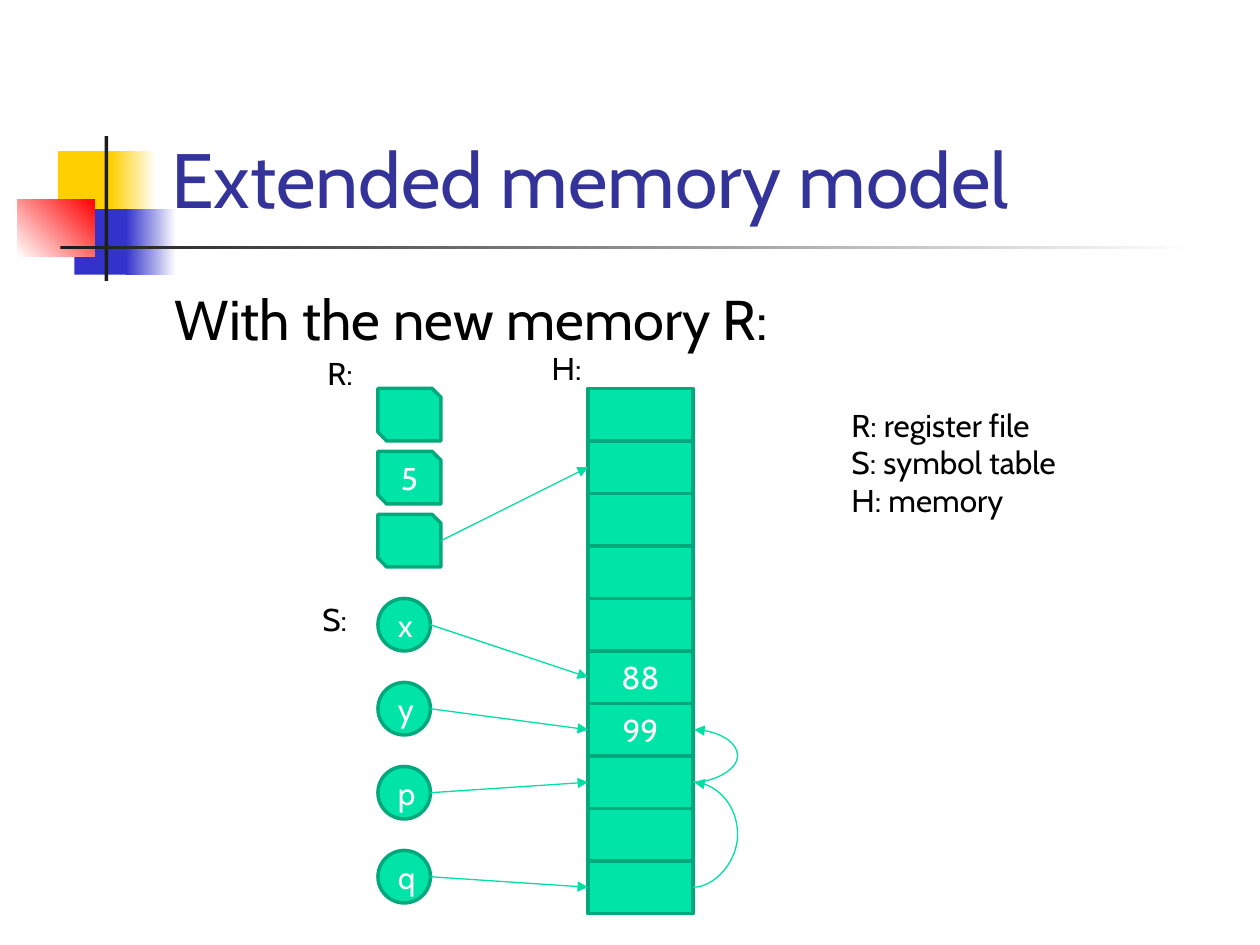
from dataclasses import dataclass

from lxml.etree import SubElement
from pptx import Presentation
from pptx.dml.color import RGBColor
from pptx.enum.shapes import MSO_CONNECTOR as Link, MSO_SHAPE as Shape
from pptx.enum.text import MSO_ANCHOR as Anchor, MSO_AUTO_SIZE as Fit, PP_ALIGN as Align
from pptx.oxml.ns import qn
from pptx.util import Inches, Pt


@dataclass(frozen=True)
class Theme:
    font: str = "Cabin"
    title_size: int = 44
    body_size: int = 32
    label_size: int = 18
    title: str = "333399"
    text: str = "000000"
    white: str = "FFFFFF"
    cell: str = "00E4A8"
    border: str = "00A97C"
    arrow: str = "00DFA4"
    yellow: str = "FFCF01"
    blue: str = "3333CC"
    red: str = "FF0000"
    dark: str = "1C1C1C"


THEME = Theme()
rgb = RGBColor.from_string

# The diagram sits on a grid of twelfths of an inch.
CELL_ROWS = 5
REGISTER_COL, MEMORY_COL, TOP_ROW = 36, 56, 37
REGISTERS = ["", "5", ""]
SYMBOLS = {"x": 5, "y": 6, "p": 7, "q": 9}  # name: memory cell it points to
MEMORY = ["", "", "", "", "", "88", "99", "", "", ""]


def grid(units):
    return Inches(units / 12)


def box(left, top, width, height):
    return [Inches(length) for length in (left, top, width, height)]


def grid_box(col, row, cols):
    return [grid(units) for units in (col, row, cols, CELL_ROWS)]


def write(frame, lines, size, color, **frame_format):
    """Fill a text frame with one paragraph per line, in the theme font."""
    for name, value in {"word_wrap": True, "auto_size": Fit.NONE, **frame_format}.items():
        setattr(frame, name, value)
    frame.text = "\n".join(lines)
    for paragraph in frame.paragraphs:
        for name, value in {"name": THEME.font, "size": Pt(size)}.items():
            setattr(paragraph.font, name, value)
        paragraph.font.color.rgb = rgb(color)


def add_decoration(slide, place, start, end=None, angle=0):
    """Draw a borderless block, plain or fading from start to end."""
    block = slide.shapes.add_shape(Shape.RECTANGLE, *box(*place))
    block.shadow.inherit = False
    block.line.fill.background()
    if end is None:
        block.fill.solid()
        block.fill.fore_color.rgb = rgb(start)
        return
    block.fill.gradient()
    block.fill.gradient_angle = angle
    for stop, position, color in zip(block.fill.gradient_stops, (0, 1), (start, end)):
        stop.position = position
        stop.color.rgb = rgb(color)


def add_cell(slide, preset, col, row, cols, content):
    cell = slide.shapes.add_shape(preset, *grid_box(col, row, cols))
    cell.shadow.inherit = False
    cell.fill.solid()
    cell.fill.fore_color.rgb = rgb(THEME.cell)
    cell.line.color.rgb = rgb(THEME.border)
    cell.line.width = Pt(2)
    if content:
        write(cell.text_frame, [content], THEME.label_size, THEME.white,
              vertical_anchor=Anchor.MIDDLE)
        cell.text_frame.paragraphs[0].alignment = Align.CENTER
    return cell


def add_label(slide, place, *lines):
    label = slide.shapes.add_textbox(*box(*place))
    write(label.text_frame, lines, THEME.label_size, THEME.text,
          auto_size=Fit.SHAPE_TO_FIT_TEXT)


def add_arrow(slide, kind, start, end):
    arrow = slide.shapes.add_connector(kind, *start, *end)
    arrow.line.color.rgb = rgb(THEME.arrow)
    arrow.line.width = Pt(0.75)
    SubElement(arrow.line._get_or_add_ln(), qn("a:tailEnd"), type="triangle")
    SubElement(arrow._element.spPr, qn("a:effectLst"))
    return arrow


def right_middle(shape):
    return shape.left + shape.width, shape.top + shape.height // 2


def point_to_cell(slide, source, cell):
    start = right_middle(source)
    arrow = add_arrow(slide, Link.STRAIGHT, start, (cell.left, start[1]))
    arrow.end_connect(cell, 1)


def loop_to_cell(slide, source, cell):
    """Curve from one memory cell to another, bulging out to the right."""
    step, bulge = 0.01, 0.36
    end_x, end_y = right_middle(cell)
    arrow = add_arrow(slide, Link.CURVE, right_middle(source), (end_x + Inches(step), end_y))
    adjustments = arrow._element.spPr.find(qn("a:prstGeom")).get_or_add_avLst()
    SubElement(adjustments, qn("a:gd"), name="adj1",
               fmla=f"val {round(bulge / step * 100000)}")


def add_ornament(slide):
    white = THEME.white
    add_decoration(slide, (0.46, 1.2, 0.48, 0.52), THEME.yellow)
    add_decoration(slide, (0.88, 1.2, 0.36, 0.52), THEME.yellow, white)
    add_decoration(slide, (0.59, 1.66, 0.46, 0.52), THEME.blue)
    add_decoration(slide, (1, 1.66, 0.4, 0.52), THEME.blue, white)
    add_decoration(slide, (0.14, 1.58, 0.61, 0.46), white, THEME.red, angle=45)
    add_decoration(slide, (0.83, 1.08, 0.03, 1.15), THEME.dark)
    add_decoration(slide, (0.48, 1.95, 9, 0.03), THEME.dark, white)


def add_title(slide, wording):
    title = slide.shapes.title
    place = box(1.26, 0.23, 8.52, 1.6)
    for name, value in zip(("left", "top", "width", "height"), place):
        setattr(title, name, value)
    write(title.text_frame, [wording], THEME.title_size, THEME.title,
          vertical_anchor=Anchor.BOTTOM)
    title.text_frame.paragraphs[0].alignment = Align.LEFT


def add_bullet(slide, wording):
    body = slide.shapes.add_textbox(*box(1.29, 2.21, 8.5, 0.7))
    frame = body.text_frame
    properties = frame.paragraphs[0]._p.get_or_add_pPr()
    indent = Inches(0.38)
    properties.set("marL", str(indent))
    properties.set("indent", str(-indent))
    color = SubElement(properties, qn("a:buClr"))
    SubElement(color, qn("a:srgbClr"), val=THEME.blue)
    SubElement(properties, qn("a:buSzPct"), val="60000")
    SubElement(properties, qn("a:buFont"), typeface=THEME.font)
    SubElement(properties, qn("a:buChar"), char="■")
    write(frame, [wording], THEME.body_size, THEME.text)


def add_diagram(slide):
    memory = [add_cell(slide, Shape.RECTANGLE, MEMORY_COL, TOP_ROW + CELL_ROWS * i, 10, value)
              for i, value in enumerate(MEMORY)]
    registers = [add_cell(slide, Shape.SNIP_2_DIAG_RECTANGLE, REGISTER_COL,
                          TOP_ROW + 6 * i, 6, value)
                 for i, value in enumerate(REGISTERS)]
    point_to_cell(slide, registers[2], memory[1])
    for i, (symbol, target) in enumerate(SYMBOLS.items()):
        circle = add_cell(slide, Shape.OVAL, REGISTER_COL, TOP_ROW + 20 + 8 * i,
                          CELL_ROWS, symbol)
        point_to_cell(slide, circle, memory[target])
    for source, target in ((7, 6), (9, 7)):
        loop_to_cell(slide, memory[source], memory[target])


def main():
    deck = Presentation()
    deck.slide_width, deck.slide_height = Inches(10), Inches(7.5)
    slide = deck.slides.add_slide(deck.slide_layouts.get_by_name("Title Only"))
    add_ornament(slide)
    add_title(slide, "Extended memory model")
    add_bullet(slide, "With the new memory R:")
    add_diagram(slide)
    add_label(slide, (2.5, 2.76, 0.75, 0.4), "R:")
    add_label(slide, (2.46, 4.71, 0.75, 0.4), "S:")
    add_label(slide, (4.28, 2.72, 0.75, 0.4), "H:")
    add_label(slide, (6.66, 3.17, 2.93, 1.01),
              "R: register file", "S: symbol table", "H: memory")
    deck.save("out.pptx")


if __name__ == "__main__":
    main()
